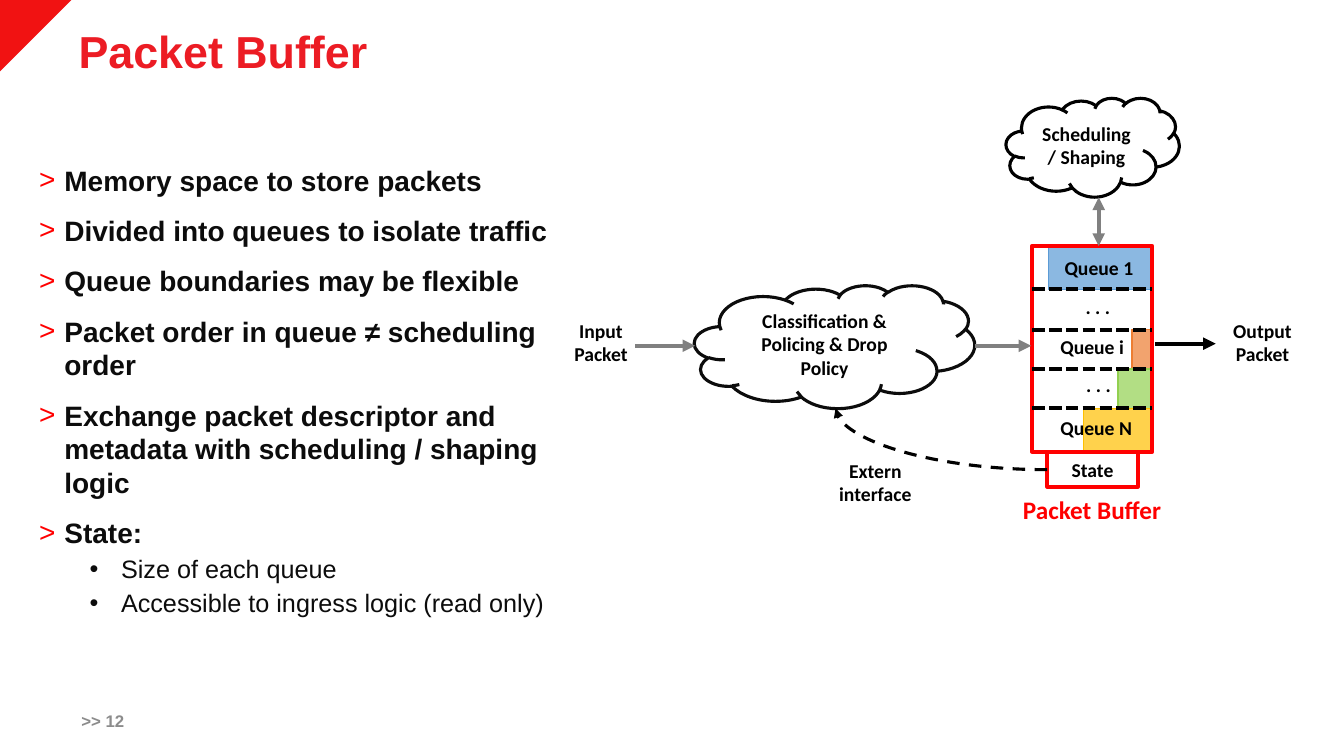
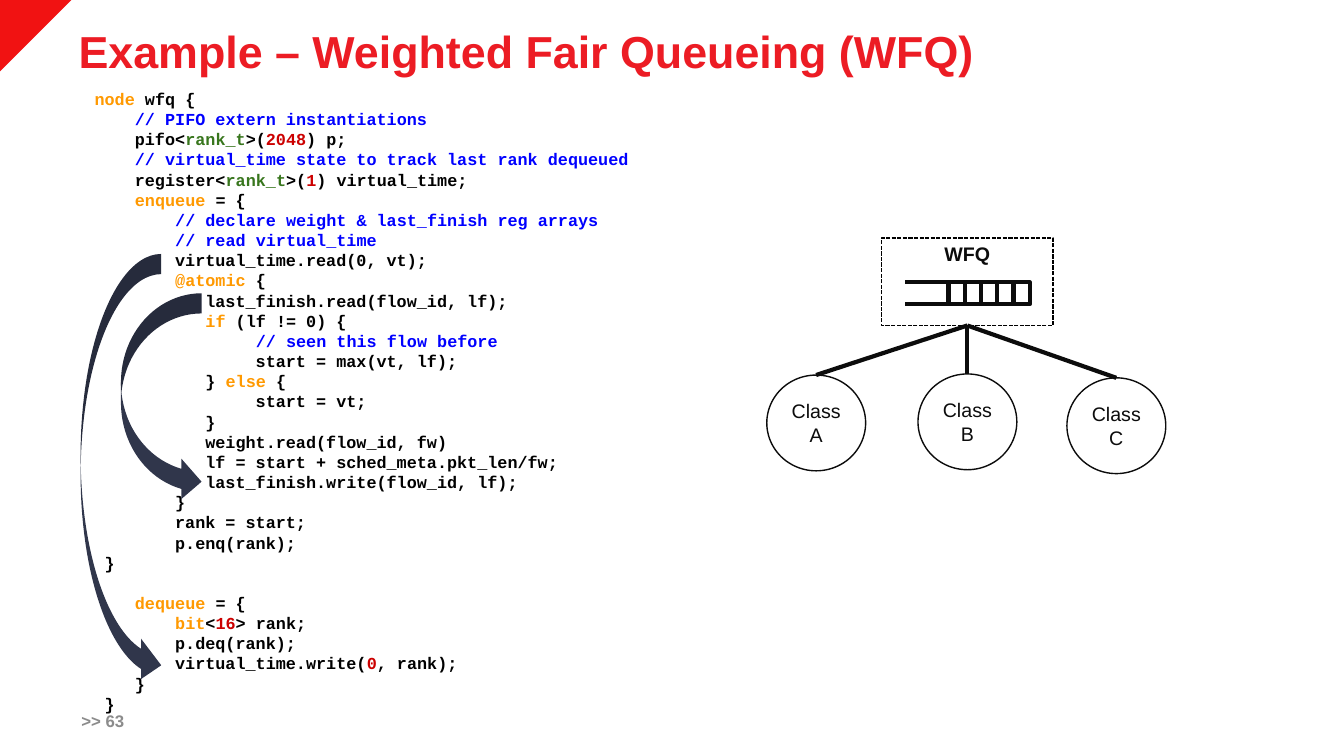
import dataclasses
import pptx
import pptx.dml.color
import pptx.enum.dml
import pptx.enum.shapes
import pptx.enum.text
import pptx.oxml
import pptx.oxml.ns
import pptx.util

Pt = pptx.util.Pt
SHAPES = pptx.enum.shapes.MSO_SHAPE
CONNECTORS = pptx.enum.shapes.MSO_CONNECTOR
DASHES = pptx.enum.dml.MSO_LINE
ANCHORS = pptx.enum.text.MSO_ANCHOR
CENTER = pptx.enum.text.PP_ALIGN.CENTER


def style(name, size, color, bold=True):
    """Return a text style: font attributes and a colour."""
    return {"font": {"name": name, "size": Pt(size), "bold": bold}, "color": color}


@dataclasses.dataclass(frozen=True)
class Theme:
    """Colours and type styles of the presentation."""
    corner: str = "F11212"
    red: str = "FF0000"
    ink: str = "0C0C0C"
    black: str = "000000"
    gray: str = "808080"
    arrow: str = "30364B"
    blue: str = "5B9BD5"
    orange: str = "ED7D31"
    green: str = "92D050"
    yellow: str = "FFC000"
    title = style("Arial", 32, "EC1C24")
    footer = style("Arial", 12, "8C8C8C")
    point = style("Arial", 20, "0C0C0C")
    detail = style("Arial", 18, "0C0C0C", False)
    label = style("Calibri", 14, "000000")
    caption = style("Calibri", 18, "FF0000")
    node = style("Arial", 14, "0C0C0C", False)
    node_title = style("Arial", 14, "0C0C0C")
    code = style("Courier New", 12, "000000")
    syntax = {"keyword": "FF9900", "comment": "0000FF", "type": "38761D", "number": "CC0000"}


THEME = Theme()

POINTS = [
    "Memory space to store packets",
    "Divided into queues to isolate traffic",
    "Queue boundaries may be flexible",
    "Packet order in queue ≠ scheduling order",
    "Exchange packet descriptor and metadata with scheduling / shaping logic",
    "State:",
]
DETAILS = ["Size of each queue", "Accessible to ingress logic (read only)"]

ENQUEUE_CODE = [
    "   ~keyword:node~ wfq {",
    "       ~comment:// PIFO extern instantiations~",
    "       pifo<~type:rank_t~>(~number:2048~) p;",
    "       ~comment:// virtual_time state to track last rank dequeued~",
    "       register<~type:rank_t~>(~number:1~) virtual_time;",
    "       ~keyword:enqueue~ = {",
    "           ~comment:// declare weight & last_finish reg arrays~",
    "           ~comment:// read virtual_time~",
    "           virtual_time.read(0, vt);",
    "           ~keyword:@atomic~ {",
    "              last_finish.read(flow_id, lf);",
    "              ~keyword:if~ (lf != 0) {",
    "                   ~comment:// seen this flow before~",
    "                   start = max(vt, lf);",
    "              } ~keyword:else~ {",
    "                   start = vt;",
    "              }",
    "              weight.read(flow_id, fw)",
    "              lf = start + sched_meta.pkt_len/fw;",
    "              last_finish.write(flow_id, lf);",
    "           }",
    "           rank = start;",
    "           p.enq(rank);",
    "    }",
]
DEQUEUE_CODE = [
    "       ~keyword:dequeue~ = {",
    "           ~keyword:bit~<~number:16~> rank;",
    "           p.deq(rank);",
    "           virtual_time.write(~number:0~, rank);",
    "       }",
    "    }",
]


def rgb(color):
    """Turn a hex string into a colour."""
    return pptx.dml.color.RGBColor.from_string(color)


def set_values(target, values):
    """Set each attribute of the target from a dict."""
    for name, value in values.items():
        setattr(target, name, value)


def add_child(parent, tag, **attributes):
    """Append a DrawingML element with attributes."""
    child = pptx.oxml.parse_xml(f"<a:{tag} {pptx.oxml.ns.nsdecls('a')}/>")
    for name, value in attributes.items():
        child.set(name, str(value))
    parent.append(child)
    return child


def find_part(shape, tag):
    """Find an element within the properties of a shape."""
    return shape._element.spPr.find(".//" + pptx.oxml.ns.qn(tag))


def add_run(paragraph, text, text_style, color=None):
    """Add a styled run to a paragraph."""
    run = paragraph.add_run()
    run.text = text
    set_values(run.font, text_style["font"])
    run.font.color.rgb = rgb(color or text_style["color"])


def next_paragraph(frame):
    """Return the empty first paragraph, or a new one."""
    first = frame.paragraphs[0]
    return frame.add_paragraph() if first.runs else first


def write(shape, lines, text_style, align=None, anchor=ANCHORS.TOP):
    """Fill a shape with one paragraph for each line."""
    frame = shape.text_frame
    set_values(frame, {"word_wrap": True, "vertical_anchor": anchor})
    for line in lines:
        paragraph = next_paragraph(frame)
        paragraph.alignment = align
        add_run(paragraph, line, text_style)


def add_text(slide, box, lines=(), text_style=None, **layout):
    """Add a wrapping text box."""
    shape = slide.shapes.add_textbox(*map(Pt, box))
    write(shape, lines, text_style, **layout)
    return shape


def paint(shape, fill=None, line=None, width=1, opacity=None, dash=None):
    """Set fill, outline and shadow of a shape."""
    shape.shadow.inherit = False
    if fill:
        shape.fill.solid()
        shape.fill.fore_color.rgb = rgb(fill)
    else:
        shape.fill.background()
    if opacity:
        add_child(find_part(shape, "a:srgbClr"), "alpha", val=opacity * 1000)
    if line:
        shape.line.color.rgb = rgb(line)
        set_values(shape.line, {"width": Pt(width), "dash_style": dash})
    else:
        shape.line.fill.background()


def add_shape(slide, kind, box, **look):
    """Add a painted preset shape."""
    shape = slide.shapes.add_shape(kind, *map(Pt, box))
    paint(shape, **look)
    return shape


def add_line(slide, start, end, color, width=3, dash=None, ends=(), kind=CONNECTORS.STRAIGHT):
    """Add a connector with optional arrowheads."""
    connector = slide.shapes.add_connector(kind, *map(Pt, (*start, *end)))
    connector.line.color.rgb = rgb(color)
    set_values(connector.line, {"width": Pt(width), "dash_style": dash})
    for name in ends:
        add_child(find_part(connector, "a:ln"), name, type="triangle")
    add_child(connector._element.spPr, "effectLst")
    return connector


def add_frame(slide, title, number):
    """Add the corner, title and page number shared by all slides."""
    corner = Pt(51)
    builder = slide.shapes.build_freeform(corner, 0)
    builder.add_line_segments([(0, 0), (0, corner)], close=True)
    paint(builder.convert_to_shape(), fill=THEME.corner)
    middle = {"anchor": ANCHORS.MIDDLE}
    add_text(slide, (49, 16.6, 830, 39.6), [title], THEME.title, **middle)
    add_text(slide, (51, 500.4, 71, 28.8), [f">> {number}"], THEME.footer, **middle)


def add_bullets(slide, box):
    """Add the two-level bullet list."""
    frame = add_text(slide, box).text_frame
    levels = [
        (POINTS, THEME.point, 0, 18, 18, "˃", THEME.red, {"space_before": Pt(12)}),
        (DETAILS, THEME.detail, 1, 58.5, 22.5, "•", THEME.ink,
         {"space_before": Pt(5), "line_spacing": 0.9}),
    ]
    for lines, text_style, level, margin, hang, mark, color, spacing in levels:
        for line in lines:
            paragraph = next_paragraph(frame)
            properties = paragraph._p.get_or_add_pPr()
            properties.set("marL", str(Pt(margin)))
            properties.set("indent", str(-Pt(hang)))
            add_child(add_child(properties, "buClr"), "srgbClr", val=color)
            add_child(properties, "buFont", typeface="Arial")
            add_child(properties, "buChar", char=mark)
            set_values(paragraph, {"level": level, **spacing})
            add_run(paragraph, line, text_style)
    frame.paragraphs[0].space_before = Pt(0)


def add_queues(slide, box):
    """Add the buffer with its stacked queues."""
    left, top, width, height = box
    rows = [
        ("Queue 1", 31, THEME.blue, 74, 16, 3.6),
        (". . .", 28.8, None, 0, 31, 0.7),
        ("Queue i", 28, THEME.orange, 14.4, 13, 0),
        (". . .", 28.2, THEME.green, 24.5, 31.5, -0.7),
        ("Queue N", 31, THEME.yellow, 49, 13, 2.2),
    ]
    tops = [top + sum(row[1] for row in rows[:index]) for index in range(len(rows))]
    for row_top, (_, row_height, color, fill_width, _, _) in zip(tops, rows):
        if color:
            area = (left + width - fill_width, row_top, fill_width, row_height)
            add_shape(slide, SHAPES.RECTANGLE, area, fill=color, line=color, opacity=70)
    add_shape(slide, SHAPES.RECTANGLE, box, line=THEME.red, width=3)
    for row_top in tops[1:]:
        add_line(slide, (left, row_top), (left + width, row_top), THEME.black,
                 dash=DASHES.SQUARE_DOT)
    for row_top, (label, _, _, _, shift, drop) in zip(tops, rows):
        add_text(slide, (left + shift, row_top + drop, 76, 24.5), [label], THEME.label)


def add_buffer_diagram(slide, box):
    """Add the packet path through policing, buffer and scheduling."""
    left, top = box[:2]

    def at(x, y, *size):
        """Shift a position into the diagram box."""
        return (left + x, top + y, *size)

    add_queues(slide, at(343.3, 105.7, 85.7, 147))
    parts = [
        (SHAPES.CLOUD, (102, 133.8, 200.2, 87.8), "Classification & Policing & Drop Policy",
         THEME.ink, 2.25),
        (SHAPES.CLOUD, (324.6, 0, 123.8, 70.6), "Scheduling / Shaping", THEME.black, 2.25),
        (SHAPES.RECTANGLE, (354, 252.6, 64.8, 25.2), "State", THEME.red, 2.5),
    ]
    for kind, area, text, color, width in parts:
        shape = add_shape(slide, kind, at(*area), line=color, width=width)
        write(shape, [text], THEME.label, CENTER, ANCHORS.MIDDLE)
    for start, end, color, ends in [
        ((59.6, 177), (102.6, 177), THEME.gray, ["tailEnd"]),
        ((302.2, 177), (342.6, 177), THEME.gray, ["tailEnd"]),
        ((390.8, 105.7), (390.8, 71), THEME.gray, ["headEnd", "tailEnd"]),
        ((431, 175.5), (474.4, 175.5), THEME.black, ["tailEnd"]),
    ]:
        add_line(slide, at(*start), at(*end), color, ends=ends)
    curve = add_line(slide, at(354, 265.5), at(202.9, 221.6), THEME.black, 2.25,
                     DASHES.DASH, ["tailEnd"], CONNECTORS.CURVE)
    find_part(curve, "a:prstGeom").set("prst", "curvedConnector2")
    for area, lines in [((0, 153.9, 70.6, 59), ["Input", "Packet"]),
                        ((470, 153.9, 75.6, 59), ["Output", "Packet"]),
                        ((187, 254, 88.6, 59), ["Extern", "interface"])]:
        add_text(slide, at(*area), lines, THEME.label, align=CENTER)
    add_text(slide, at(329.6, 279.2, 120, 28.8), ["Packet Buffer"], THEME.caption)


def add_code(slide, box):
    """Add the coloured program listing."""
    frame = add_text(slide, box).text_frame
    for line in ENQUEUE_CODE + DEQUEUE_CODE:
        paragraph = next_paragraph(frame)
        for index, part in enumerate(line.split("~")):
            if index % 2:
                kind, _, text = part.partition(":")
                add_run(paragraph, text, THEME.code, THEME.syntax[kind])
            elif part:
                add_run(paragraph, part, THEME.code)
    frame.paragraphs[len(ENQUEUE_CODE)].space_before = Pt(14.4)


def add_scheduling_tree(slide, box):
    """Add the WFQ node with its queue and three classes."""
    left, top, width, _ = box
    middle, base = left + width / 2, top + 62.6
    add_shape(slide, SHAPES.RECTANGLE, (middle - 61.2, top, 122.4, 62.6),
              line=THEME.black, dash=DASHES.SQUARE_DOT)
    add_text(slide, (middle - 40, top - 0.7, 80, 24.5), ["WFQ"], THEME.node_title, align=CENTER)
    queue_left, queue_top, cell, depth = middle - 13.5, top + 31.7, 11.6, 15.8
    for index in range(5):
        add_shape(slide, SHAPES.RECTANGLE, (queue_left + index * cell, queue_top, cell, depth),
                  line=THEME.ink, width=3)
    for y in (queue_top, queue_top + depth):
        add_line(slide, (queue_left, y), (queue_left - 31, y), THEME.ink)
    for name, offset, drop in [("A", -108, 98), ("B", 0, 97.2), ("C", 106.4, 100)]:
        center = middle + offset
        circle = add_shape(slide, SHAPES.OVAL, (center - 35.3, top + drop, 70.6, 68.4),
                           line=THEME.ink)
        write(circle, [f"Class {name}"], THEME.node, CENTER, ANCHORS.MIDDLE)
        add_line(slide, (middle, base), (center, top + drop), THEME.ink)


def main():
    """Build and save the presentation."""
    presentation = pptx.Presentation()
    set_values(presentation, {"slide_width": Pt(960), "slide_height": Pt(540)})
    blank = presentation.slide_layouts[6]

    slide = presentation.slides.add_slide(blank)
    add_frame(slide, "Packet Buffer", 12)
    add_bullets(slide, (20.9, 113, 379.4, 374.4))
    add_buffer_diagram(slide, (394, 70, 546, 313))

    slide = presentation.slides.add_slide(blank)
    add_frame(slide, "Example – Weighted Fair Queueing (WFQ)", 63)
    add_code(slide, (38.9, 59.8, 571.7, 469.4))
    add_scheduling_tree(slide, (548, 169.9, 286, 168.4))
    for area in [(86.4, 209.5, 57.6, 149), (57.6, 181.4, 57.6, 308.2)]:
        add_shape(slide, SHAPES.CURVED_RIGHT_ARROW, area, fill=THEME.arrow)

    presentation.save("out.pptx")


if __name__ == "__main__":
    main()
